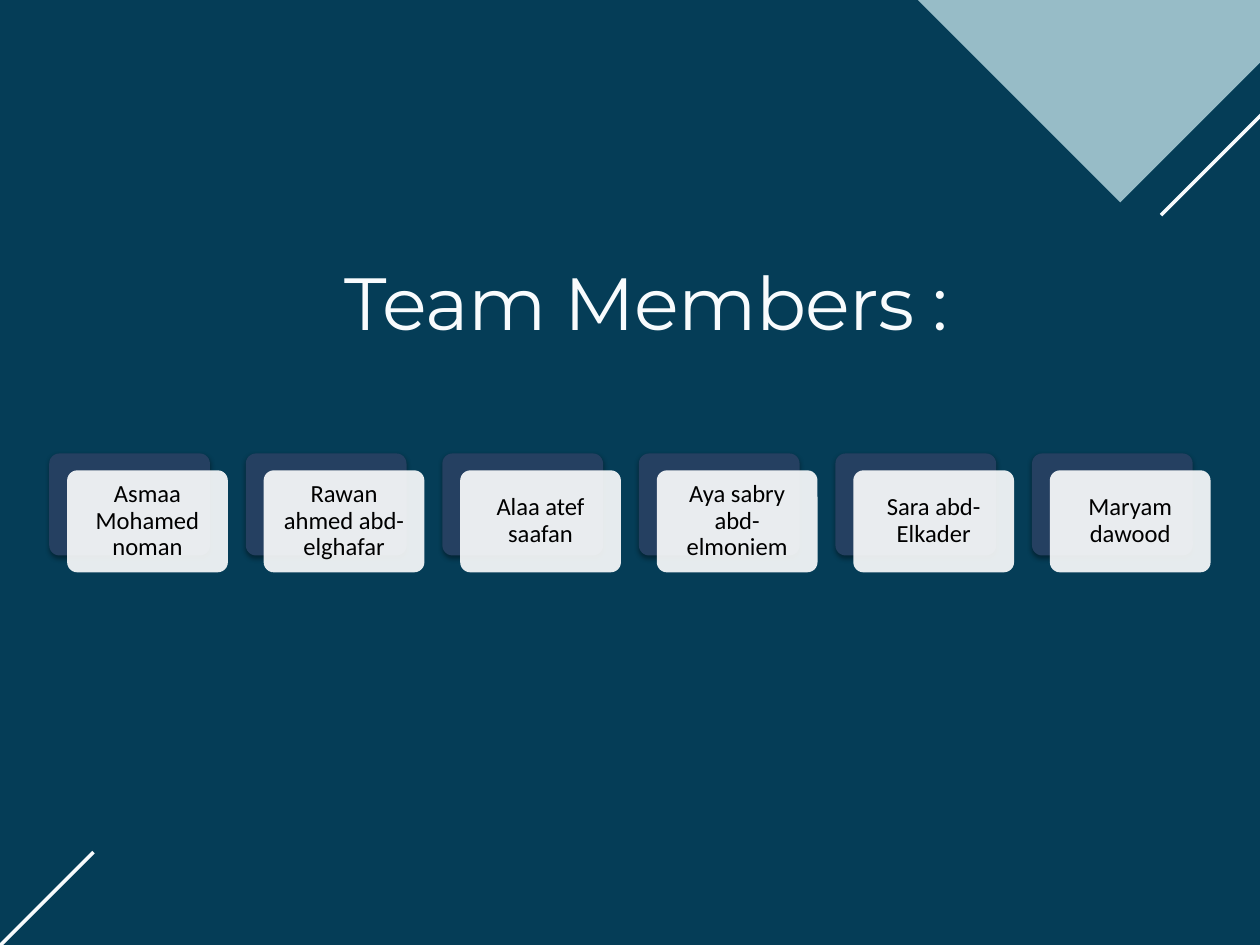
"""Build the team members slide."""
from dataclasses import dataclass

from lxml import etree
from pptx import Presentation
from pptx import util as u
from pptx.dml import color
from pptx.enum import shapes, text
from pptx.oxml import ns

BACKGROUND, DIAMOND, LIGHT = "053D57", "97BCC7", "F8FBFD"
BACKING, CARD, INK = "254061", "FFFFFF", "000000"
MEMBERS = (
    "Asmaa Mohamed noman",
    "Rawan ahmed abd-elghafar",
    "Alaa atef saafan",
    "Aya sabry abd-elmoniem",
    "Sara abd-Elkader",
    "Maryam dawood",
)
FIRST_LEFT, TOP, PITCH = 30, 276.4, 119.8
CARD_WIDTH, CARD_HEIGHT = 98, 62.2
SHIFT_X, SHIFT_Y = 10.9, 10.3


@dataclass(frozen=True)
class Box:
    left: float
    top: float
    width: float
    height: float


@dataclass(frozen=True)
class Decoration:
    box: Box
    fill: str


DECORATIONS = (
    Decoration(Box(542.9, -214.6, 280, 280), DIAMOND),
    Decoration(Box(666.7, 31, 280, 2.2), LIGHT),
    Decoration(Box(-30.2, 554.4, 102.2, 2.2), LIGHT),
)


def paint(target, hex_color: str) -> None:
    target.solid()
    target.fore_color.rgb = color.RGBColor.from_string(hex_color)


def place(sp, box: Box) -> None:
    sp.left, sp.top = u.Pt(box.left), u.Pt(box.top)
    sp.width, sp.height = u.Pt(box.width), u.Pt(box.height)


def add_shape(s, kind: shapes.MSO_SHAPE, box: Box, fill: str):
    sp = s.shapes.add_shape(kind, 0, 0, 0, 0)
    place(sp, box)
    paint(sp.fill, fill)
    sp.line.fill.background()
    sp.shadow.inherit = False
    return sp


def add_decoration(s, decoration: Decoration) -> None:
    sp = add_shape(s, shapes.MSO_SHAPE.RECTANGLE, decoration.box, decoration.fill)
    sp.rotation = 315


def add_rounded(s, box: Box, fill: str):
    sp = add_shape(s, shapes.MSO_SHAPE.ROUNDED_RECTANGLE, box, fill)
    sp.adjustments[0] = 0.1
    return sp


def set_alpha(clr, percent: int) -> None:
    etree.SubElement(clr, ns.qn("a:alpha")).set("val", str(percent * 1000))


def add_shadow(sp) -> None:
    effects = sp.element.spPr.find(ns.qn("a:effectLst"))
    shadow = etree.SubElement(effects, ns.qn("a:outerShdw"), blurRad=str(u.Pt(3.1)),
                              dist=str(u.Pt(1.6)), dir="5400000", rotWithShape="0")
    clr = etree.SubElement(shadow, ns.qn("a:srgbClr"), val=INK)
    set_alpha(clr, 38)


def set_margins(tf, margin: float) -> None:
    tf.margin_left = tf.margin_right = u.Pt(margin)
    tf.margin_top = tf.margin_bottom = u.Pt(margin)


def style(p, name: str, size: float, hex_color: str) -> None:
    p.font.name, p.font.size = name, u.Pt(size)
    paint(p.font.fill, hex_color)


def add_title(s, title: str) -> None:
    sp = s.shapes.title
    place(sp, Box(210.2, 156.2, 370.8, 53.3))
    tf = sp.text_frame
    set_margins(tf, 0)
    tf.word_wrap = True
    tf.auto_size = text.MSO_AUTO_SIZE.NONE
    tf.vertical_anchor = text.MSO_ANCHOR.TOP
    p = tf.paragraphs[0]
    p.alignment, p.line_spacing = text.PP_ALIGN.LEFT, u.Pt(54)
    style(p, "Montserrat", 45, LIGHT)
    r = p.add_run()
    r.text = title
    r.font._element.set("spc", "-40")


def add_member(s, index: int, name: str) -> None:
    left = FIRST_LEFT + index * PITCH
    add_shadow(add_rounded(s, Box(left, TOP, CARD_WIDTH, CARD_HEIGHT), BACKING))
    sp = add_rounded(s, Box(left + SHIFT_X, TOP + SHIFT_Y, CARD_WIDTH, CARD_HEIGHT), CARD)
    set_alpha(sp.element.spPr.find(ns.qn("a:solidFill"))[0], 90)
    tf = sp.text_frame
    set_margins(tf, 4.3)
    tf.word_wrap = True
    tf.vertical_anchor = text.MSO_ANCHOR.MIDDLE
    p = tf.paragraphs[0]
    p.text = name
    p.alignment, p.line_spacing = text.PP_ALIGN.CENTER, 0.9
    style(p, "Calibri", 15, INK)


def main() -> None:
    prs = Presentation()
    prs.slide_width, prs.slide_height = u.Pt(768), u.Pt(576)
    s = prs.slides.add_slide(prs.slide_layouts[5])
    paint(s.background.fill, BACKGROUND)
    for decoration in DECORATIONS:
        add_decoration(s, decoration)
    add_title(s, "Team Members :")
    for index, name in enumerate(MEMBERS):
        add_member(s, index, name)
    prs.save("out.pptx")


if __name__ == "__main__":
    main()
